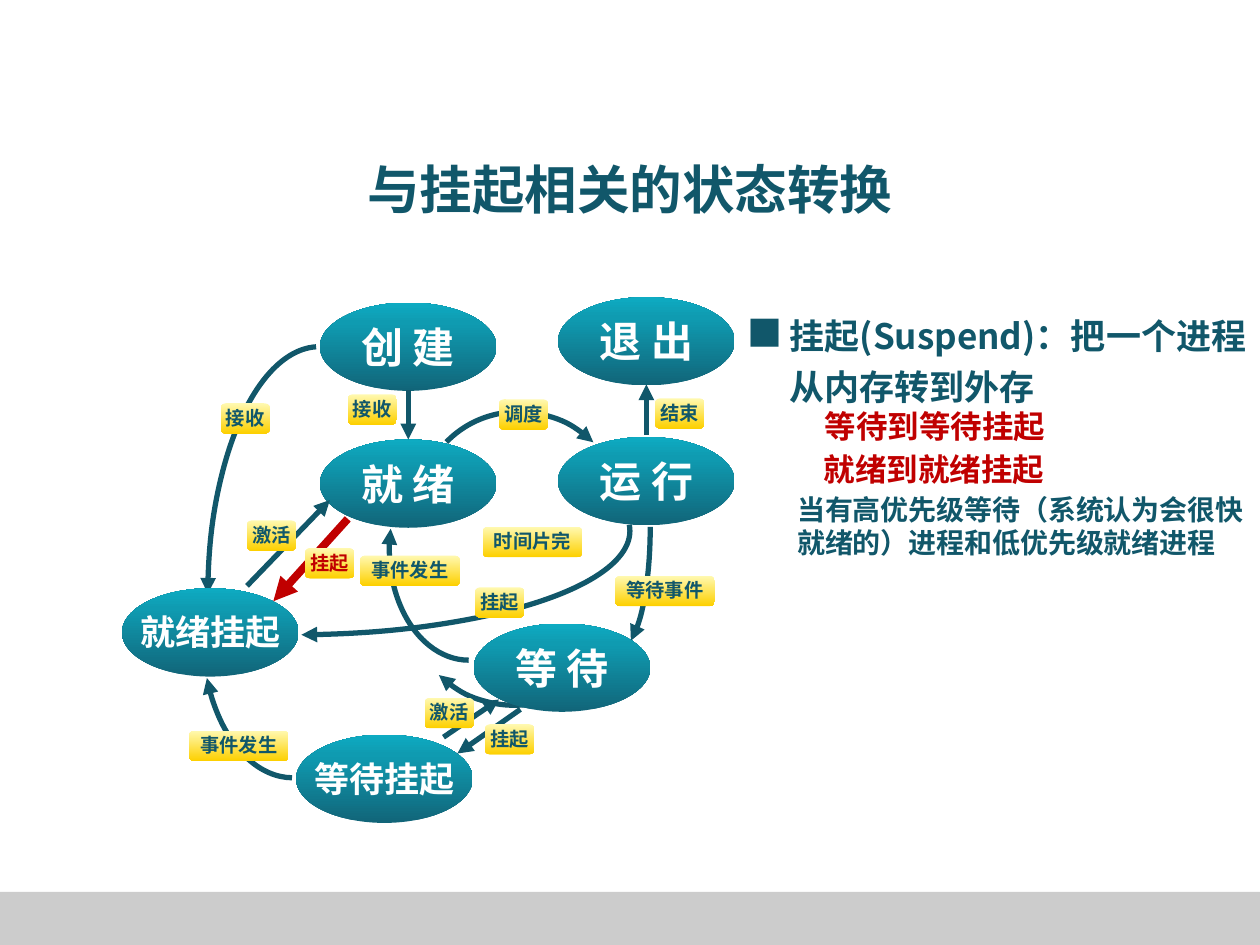
import copy
import pptx
import pptx.util
import pptx.dml.color
import pptx.enum.shapes
import pptx.enum.text
import pptx.oxml.ns
from lxml import etree

Cm, Pt = pptx.util.Cm, pptx.util.Pt
RGB = pptx.dml.color.RGBColor
KIND = pptx.enum.shapes.MSO_SHAPE
ALIGN = pptx.enum.text.PP_ALIGN
ANCHOR = pptx.enum.text.MSO_ANCHOR
qn = pptx.oxml.ns.qn

TEAL = RGB(0x11, 0x57, 0x6A)
RED = RGB(0xC0, 0x00, 0x00)
WHITE = RGB(0xFF, 0xFF, 0xFF)
GREY = RGB(0xCC, 0xCC, 0xCC)
# Stops run from the first end of the gradient to the last.
BLUES = [(0, RGB(0x11, 0x65, 0x79)), (0.77, RGB(0x0F, 0x9B, 0xB1)),
         (1, RGB(0x0E, 0xAB, 0xC2))]
GOLDS = [(0, RGB(0xFF, 0xF9, 0xB1)), (1, RGB(0xFD, 0xD0, 0x00))]
SANS, JP = "Noto Sans CJK SC", "Noto Sans CJK JP"

OVAL = (3.56, 1.78)
STATES = [
    ("创 建", 6.45, 6.1), ("就 绪", 6.45, 8.86), ("运 行", 11.25, 8.81),
    ("等 待", 9.55, 12.57), ("退 出", 11.25, 5.99),
    ("就绪挂起", 2.46, 11.86), ("等待挂起", 5.97, 14.81),
]
# left, top, width, height, start and end in degrees, turn, flips, arrow end
ARCS = [
    (11.84, 8.13, 1.27, 4.98, 0.13, 83.91, 0, "", "tail"),
    (8.18, 9.88, 4.24, 4.37, 267.64, 359.27, 134, "", "tail"),
    (8.48, 8.26, 4.11, 4.27, 270, 0, 314, "", "tail"),
    (-0.99, 8.61, 13.69, 4.19, 358.96, 83.95, 0, "", "tail"),
    (7.85, 8.84, 3.2, 4.47, 345.24, 90, 0, "H", "head"),
    (4.09, 9.96, 3.63, 5.72, 26.13, 89.63, 0, "H", "head"),
    (4.19, 6.99, 4.5, 10.03, 0.9, 89.23, 0, "HV", "head"),
]
LINES = [
    (8.23, 7.87, 8.23, 8.86, TEAL, 3),
    (13.03, 8.76, 13.03, 7.75, TEAL, 3),
    (10.49, 14.3, 9.22, 15.19, TEAL, 3),
    (8.94, 14.86, 10.06, 14.1, TEAL, 3),
    (4.98, 11.81, 6.65, 10.08, TEAL, 3),
    (7.01, 10.46, 5.51, 12.12, RED, 4.5),
]
TAGS = [
    ("挂起", 9.58, 11.84, TEAL), ("接收", 4.45, 8.13, TEAL),
    ("事件发生", 3.81, 14.73, TEAL), ("接收", 7.01, 7.95, TEAL),
    ("激活", 4.98, 10.49, TEAL), ("挂起", 6.15, 11.05, RED),
    ("事件发生", 7.26, 11.2, TEAL), ("激活", 8.56, 14.07, TEAL),
    ("挂起", 9.78, 14.6, TEAL), ("等待事件", 12.4, 11.61, TEAL),
    ("时间片完", 9.73, 10.62, TEAL), ("调度", 10.06, 8.05, TEAL),
    ("结束", 13.21, 8.03, TEAL),
]
NOTES = [
    ("当有高优先级等待（系统认为会很快就绪的）进程和低优先级就绪进程",
     (15.82, 9.8, 9.68, 2.18), dict(size=16)),
    ("挂起(Suspend)：把一个进程从内存转到外存",
     (15.67, 6.05, 9.86, 1.19), dict(size=20, space=1.2)),
    ("■", (14.81, 6.15, 0.99, 1.12), dict(size=20, font=JP, hang=0.97)),
    ("等待到等待挂起", (16.38, 8.08, 14.5, 2.18), dict(size=18, color=RED)),
    ("就绪到就绪挂起", (16.36, 8.94, 14.5, 2.18), dict(size=18, color=RED)),
]

deck = pptx.Presentation()
deck.slide_width, deck.slide_height = Cm(25.4), Cm(19.05)
shapes = deck.slides.add_slide(deck.slide_layouts[6]).shapes


def write(text, box, size=11, color=TEAL, font=SANS, align=ALIGN.LEFT,
          anchor=ANCHOR.TOP, wrap=True, space=None, hang=0):
    frame = shapes.add_textbox(*map(Cm, box)).text_frame
    frame.word_wrap, frame.vertical_anchor = wrap, anchor
    para = frame.paragraphs[0]
    para.alignment, para.line_spacing = align, space
    if hang:
        props = para._p.get_or_add_pPr()
        props.set("marL", str(Cm(hang)))
        props.set("indent", str(-Cm(hang)))
    run = para.add_run()
    run.text = text
    run.font.size, run.font.bold, run.font.name = Pt(size), True, font
    run.font.color.rgb = color
    etree.SubElement(run._r.get_or_add_rPr(), qn("a:ea")).set("typeface", font)


def shade(fill, stops, angle):
    """Fill with a linear gradient; angle is counter-clockwise."""
    fill.gradient()
    fill.gradient_angle = angle
    first = fill.gradient_stops[0]._gs
    for _ in stops[2:]:
        first.addnext(copy.deepcopy(first))
    for stop, (place, color) in zip(fill.gradient_stops, stops):
        stop.position, stop.color.rgb = place, color


def block(kind, box):
    shape = shapes.add_shape(kind, *map(Cm, box))
    shape.shadow.inherit = False
    shape.line.fill.background()
    return shape


def stroke(shape, color, width, end):
    shape.line.color.rgb, shape.line.width = color, Pt(width)
    etree.SubElement(shape.line._get_or_add_ln(),
                     qn(f"a:{end}End")).set("type", "triangle")


def draw_arc(left, top, width, height, start, stop, turn, flips, end):
    arc = block(KIND.ARC, (left, top, width, height))
    arc.fill.background()
    # One adjustment unit is 100000 / 60000 of a degree.
    arc.adjustments[0], arc.adjustments[1] = start * 0.6, stop * 0.6
    arc.rotation = turn
    for way in flips:
        arc._element.spPr.xfrm.set("flip" + way, "1")
    stroke(arc, TEAL, 3, end)


def draw_line(x1, y1, x2, y2, color, width):
    line = shapes.add_connector(pptx.enum.shapes.MSO_CONNECTOR.STRAIGHT,
                                Cm(x1), Cm(y1), Cm(x2), Cm(y2))
    stroke(line, color, width, "tail")
    etree.SubElement(line._element.spPr, qn("a:effectLst"))


def draw_state(text, left, top):
    wide, high = OVAL
    shade(block(KIND.OVAL, (left, top, wide, high)).fill, BLUES, 90)
    size, w, h = (20, 3.35, 1.12) if len(text) > 3 else (24, 2.49, 1.27)
    write(text, (left + (wide - w) / 2, top + (high - h) / 2, w, h),
          size=size, color=WHITE, align=ALIGN.CENTER, wrap=False)


def draw_tag(text, left, top, color):
    wide = 2.01 if len(text) > 2 else 0.99
    shade(block(KIND.ROUNDED_RECTANGLE, (left, top, wide, 0.61)).fill,
          GOLDS, 270)
    write(text, (left - 0.2, top - 0.07, wide + 0.4, 0.74),
          color=color, align=ALIGN.CENTER)


band = block(KIND.RECTANGLE, (0, 17.98, 25.4, 1.07))
band.fill.solid()
band.fill.fore_color.rgb = GREY
write("与挂起相关的状态转换", (1.9, 2.64, 21.6, 2.34), size=30,
      align=ALIGN.CENTER, anchor=ANCHOR.MIDDLE, hang=0.97)
for item in ARCS:
    draw_arc(*item)
for item in STATES:
    draw_state(*item)
for item in LINES:
    draw_line(*item)
for item in TAGS:
    draw_tag(*item)
for text, box, style in NOTES:
    write(text, box, **style)

deck.save("out.pptx")
